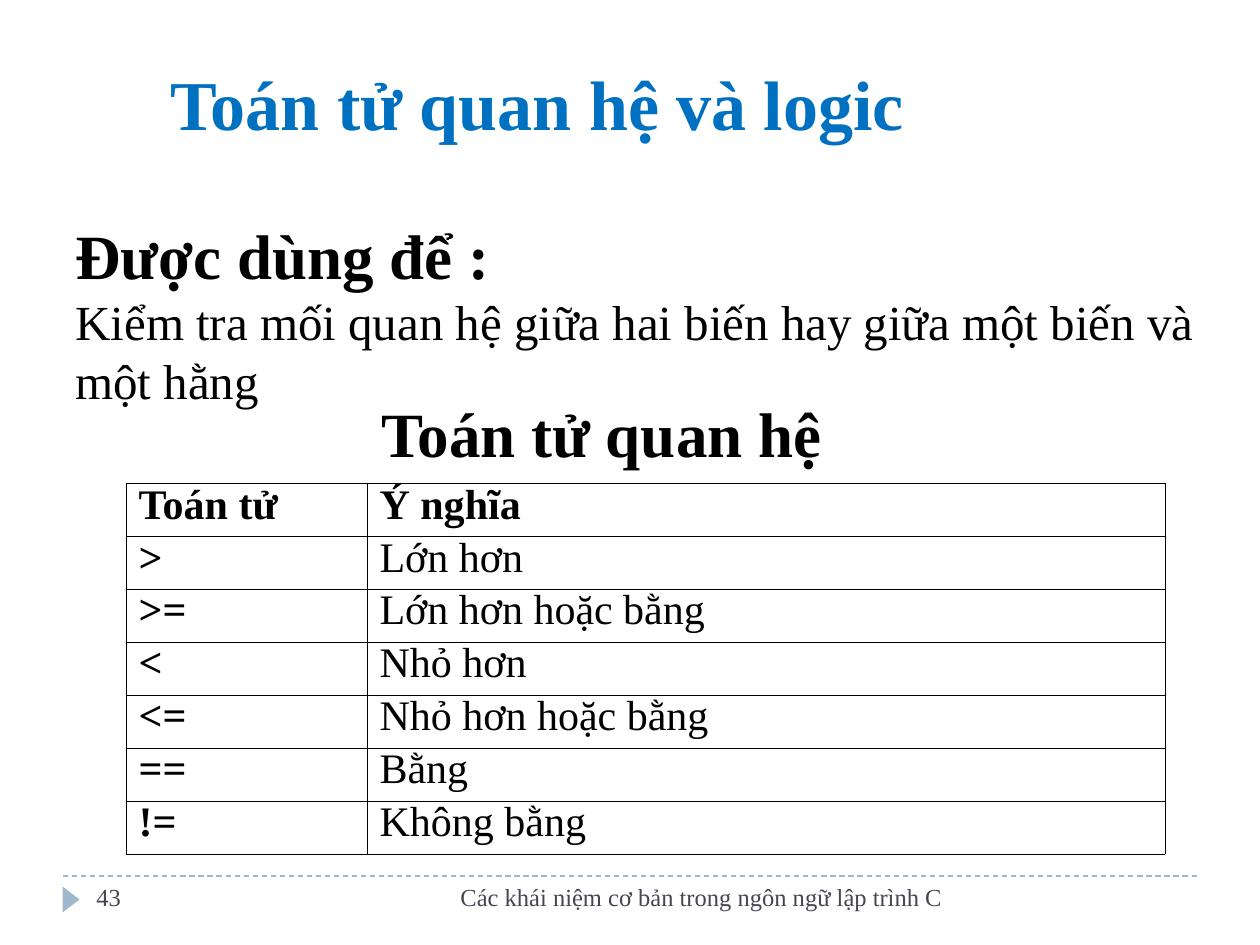
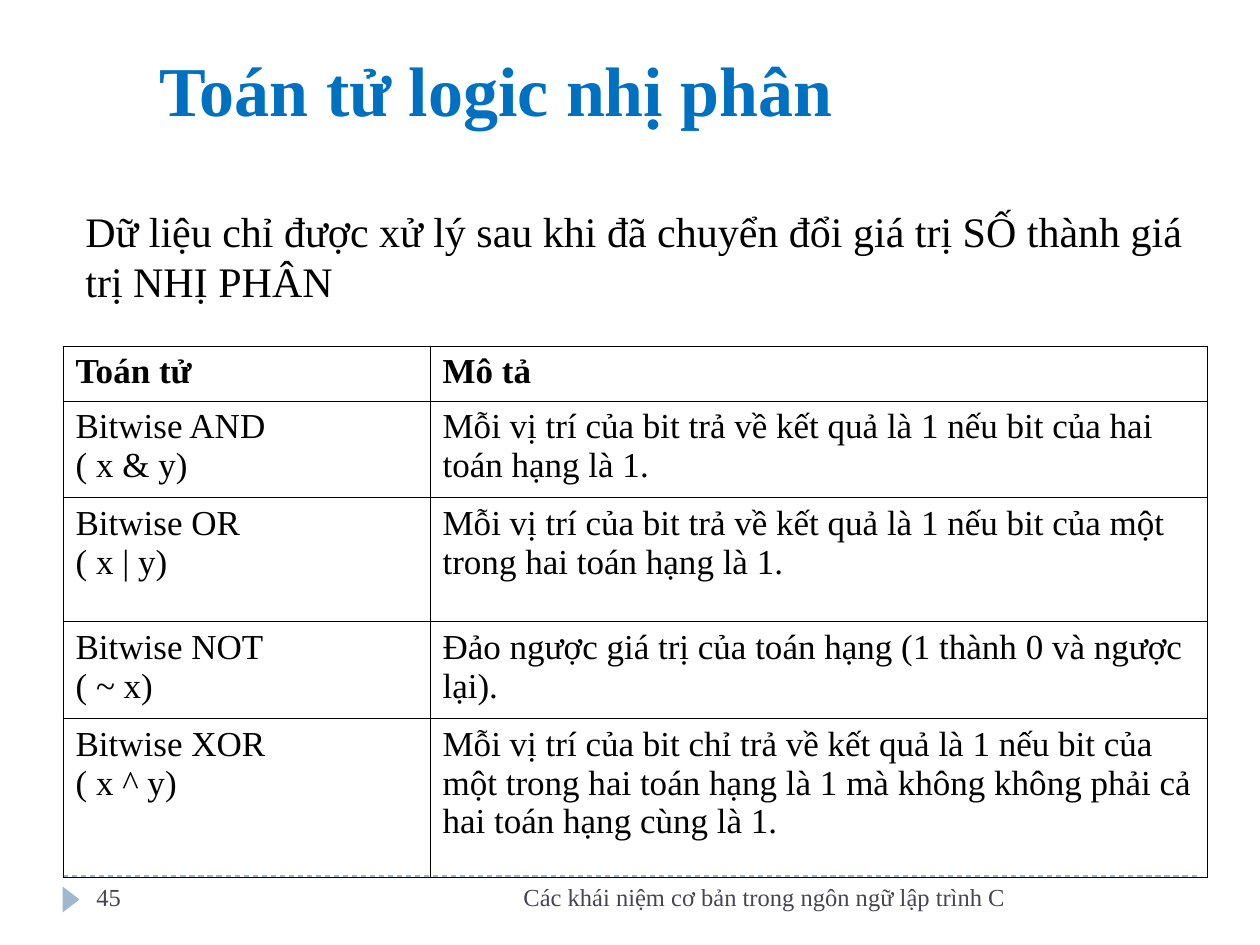
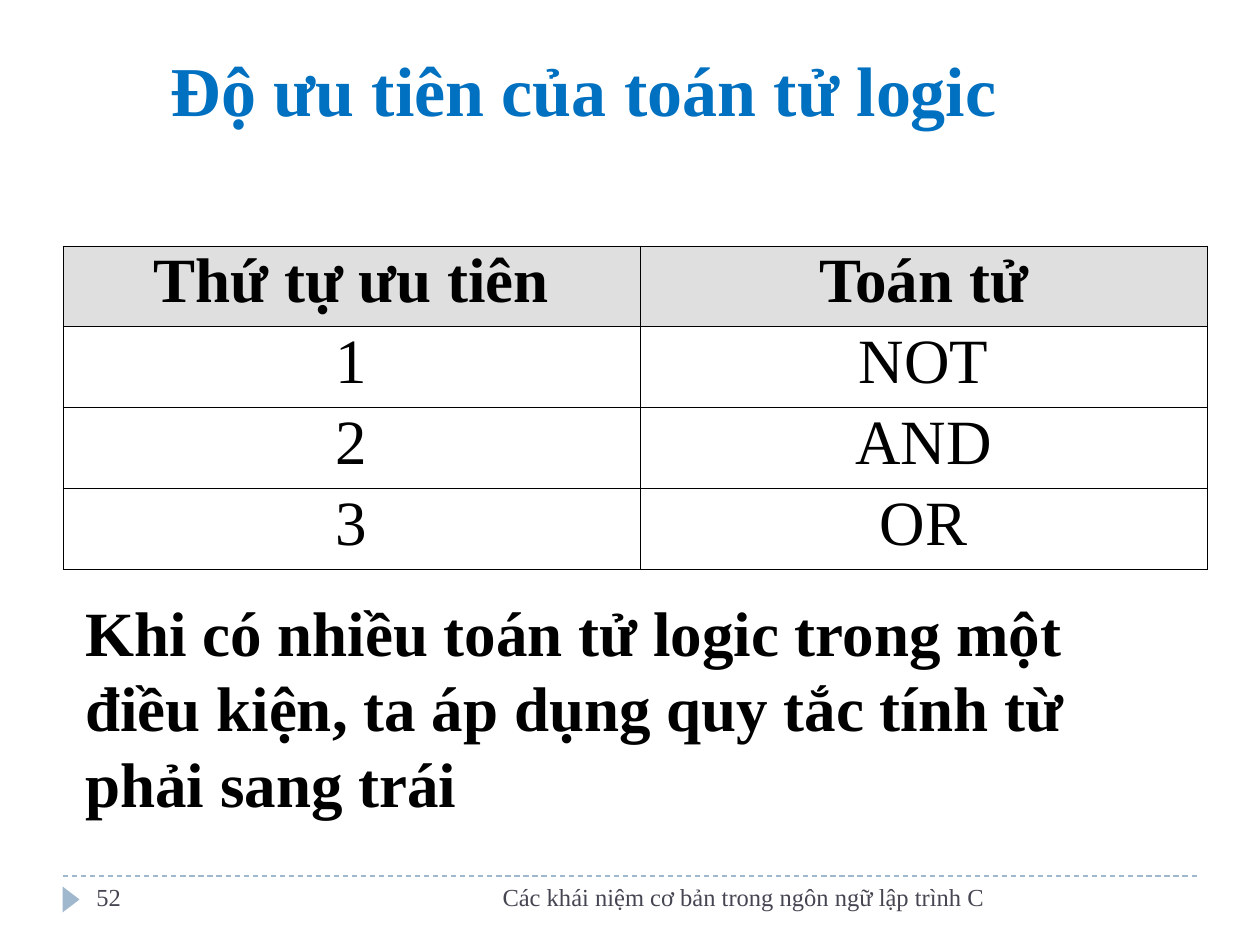
from lxml import etree
from pptx import Presentation
from pptx import util as u
from pptx.dml.color import RGBColor
from pptx.enum import dml, shapes, text
from pptx.oxml import ns

FONT = "Times New Roman"
BLACK = RGBColor(0x00, 0x00, 0x00)
TITLE_BLUE = RGBColor(0x00, 0x70, 0xC0)
FOOTER_GREY = RGBColor(0x46, 0x46, 0x53)
ACCENT = RGBColor(0x9F, 0xB8, 0xCD)
HEADER_GREY = RGBColor(0xDF, 0xDF, 0xDF)

PX_PER_INCH = 126
FOOTER_TOP = 876
FOOTER = "Các khái niệm cơ bản trong ngôn ngữ lập trình C"


def px(length):
    return u.Emu(round(length * u.Inches(1) / PX_PER_INCH))


class Lecture:
    """Holds the shared style and the slide being filled."""

    def __init__(self):
        self.deck = Presentation()
        self.deck.slide_width = u.Inches(10)
        self.deck.slide_height = u.Inches(7.5)
        self.page = None

    def start(self, title, title_place, number, footer_width):
        self.page = self.deck.slides.add_slide(self.deck.slide_layouts[5])
        self.rule()
        self.marker()
        self.title(title, title_place)
        self.text_box((399, FOOTER_TOP, footer_width, 50), [(FOOTER, 14, False)],
                      FOOTER_GREY, align=text.PP_ALIGN.RIGHT)
        self.text_box((84, FOOTER_TOP, 273, 50), [(str(number), 14, False)], FOOTER_GREY)

    def rule(self):
        line = self.page.shapes.add_connector(
            shapes.MSO_CONNECTOR.STRAIGHT,
            px(63), px(FOOTER_TOP), px(1197), px(FOOTER_TOP))
        line.line.color.rgb = ACCENT
        line.line.width = u.Pt(0.75)
        line.line.dash_style = dml.MSO_LINE.DASH
        etree.SubElement(line._element.spPr, ns.qn("a:effectLst"))

    def marker(self):
        triangle = self.page.shapes.add_shape(
            shapes.MSO_SHAPE.ISOSCELES_TRIANGLE, px(58), px(891), px(26), px(17))
        triangle.rotation = 90
        triangle.shadow.inherit = False
        triangle.fill.solid()
        triangle.fill.fore_color.rgb = ACCENT
        triangle.line.fill.background()

    def title(self, words, place):
        box = self.page.shapes.title
        box.left, box.top, box.width, box.height = map(px, place)
        frame = box.text_frame
        frame.auto_size = text.MSO_AUTO_SIZE.NONE
        frame.vertical_anchor = text.MSO_ANCHOR.BOTTOM
        self.add_lines(frame, [(words, 40, True)], TITLE_BLUE)

    def text_box(self, place, lines, color=BLACK, align=text.PP_ALIGN.LEFT,
                 anchor=text.MSO_ANCHOR.TOP, wrap=True):
        frame = self.page.shapes.add_textbox(*map(px, place)).text_frame
        frame.word_wrap = wrap
        frame.vertical_anchor = anchor
        self.add_lines(frame, lines, color, align)

    def add_lines(self, frame, lines, color=BLACK, align=text.PP_ALIGN.LEFT, spacing=None):
        """Fill a frame with one paragraph per (words, size, bold)."""
        for index, (words, size, bold) in enumerate(lines):
            para = frame.add_paragraph() if index else frame.paragraphs[0]
            para.alignment = align
            para.line_spacing = spacing
            span = para.add_run()
            span.text = words
            span.font.name = FONT
            span.font.size = u.Pt(size)
            span.font.bold = bold
            span.font.color.rgb = color

    def table(self, left, top, widths, heights, rows, size, spacing=None,
              align=text.PP_ALIGN.LEFT, header_fill=None, bold_first_column=False):
        grid = self.page.shapes.add_table(
            len(rows), len(widths), px(left), px(top),
            px(sum(widths)), px(sum(heights))).table
        grid.first_row = grid.horz_banding = False
        for column, width in zip(grid.columns, widths):
            column.width = px(width)
        for r, (row, height) in enumerate(zip(rows, heights)):
            grid.rows[r].height = px(height)
            for c, words in enumerate(row):
                cell = grid.cell(r, c)
                bold = r == 0 or (bold_first_column and c == 0)
                lines = [(line, size, bold) for line in words.split("\n")]
                self.add_lines(cell.text_frame, lines, align=align, spacing=spacing)
                self.borders(cell)
                if header_fill is not None and r == 0:
                    cell.fill.solid()
                    cell.fill.fore_color.rgb = header_fill
                else:
                    cell.fill.background()

    def borders(self, cell):
        properties = cell._tc.get_or_add_tcPr()
        for side in ("lnL", "lnR", "lnT", "lnB"):
            edge = etree.SubElement(properties, ns.qn(f"a:{side}"), w=str(u.Pt(0.45)))
            fill = etree.SubElement(edge, ns.qn("a:solidFill"))
            etree.SubElement(fill, ns.qn("a:srgbClr"), val=str(BLACK))


def relational_operators(lecture):
    lecture.start("Toán tử quan hệ và logic", (158, 42, 1029, 109), 43, 556)
    lecture.text_box((63, 210, 1155, 207), [
        ("Ðược dùng để :", 36, True),
        ("Kiểm tra mối quan hệ giữa hai biến hay giữa một biến và một hằng", 28, False),
    ])
    lecture.text_box((369, 388, 471, 88), [("Toán tử quan hệ", 36, True)], wrap=False)
    rows = [
        ("Toán tử", "Ý nghĩa"),
        (">", "Lớn hơn"),
        (">=", "Lớn hơn hoặc bằng"),
        ("<", "Nhỏ hơn"),
        ("<=", "Nhỏ hơn hoặc bằng"),
        ("==", "Bằng"),
        ("!=", "Không bằng"),
    ]
    lecture.table(126, 483, [241, 798], [53] * len(rows), rows, 24,
                  spacing=0.8, bold_first_column=True)


def bitwise_operators(lecture):
    lecture.start("Toán tử logic nhị phân", (147, 21, 1040, 116), 45, 619)
    lecture.text_box((73, 199, 1124, 113), [
        ("Dữ liệu chỉ được xử lý sau khi đã chuyển đổi giá trị SỐ thành giá trị NHỊ PHÂN",
         24, False)])
    rows = [
        ("Toán tử", "Mô tả"),
        ("Bitwise AND\n( x & y)",
         "Mỗi vị trí của bit trả về kết quả là 1 nếu bit của hai toán hạng là 1."),
        ("Bitwise OR\n( x | y)",
         "Mỗi vị trí của bit trả về kết quả là 1 nếu bit của một trong hai toán hạng là 1."),
        ("Bitwise NOT\n( ~ x)",
         "Ðảo ngược giá trị của toán hạng (1 thành 0 và ngược lại)."),
        ("Bitwise XOR\n( x ^ y)",
         "Mỗi vị trí của bit chỉ trả về kết quả là 1 nếu bit của một trong hai toán hạng "
         "là 1 mà không không phải cả hai toán hạng cùng là 1."),
    ]
    lecture.table(63, 346, [367, 777], [55, 96, 124, 97, 159], rows, 20)


def logical_precedence(lecture):
    lecture.start("Độ ưu tiên của toán tử logic", (158, 32, 1029, 105), 52, 598)
    rows = [("Thứ tự ưu tiên", "Toán tử"), ("1", "NOT"), ("2", "AND"), ("3", "OR")]
    lecture.table(63, 246, [577, 567], [80, 81, 81, 81], rows, 36, spacing=0.9,
                  align=text.PP_ALIGN.CENTER, header_fill=HEADER_GREY)
    lecture.text_box((73, 587, 1113, 239), [
        ("Khi có nhiều toán tử logic trong một điều kiện, "
         "ta áp dụng quy tắc tính từ phải sang trái", 36, True)],
        anchor=text.MSO_ANCHOR.MIDDLE)


def main():
    lecture = Lecture()
    relational_operators(lecture)
    bitwise_operators(lecture)
    logical_precedence(lecture)
    lecture.deck.save("out.pptx")


if __name__ == "__main__":
    main()
